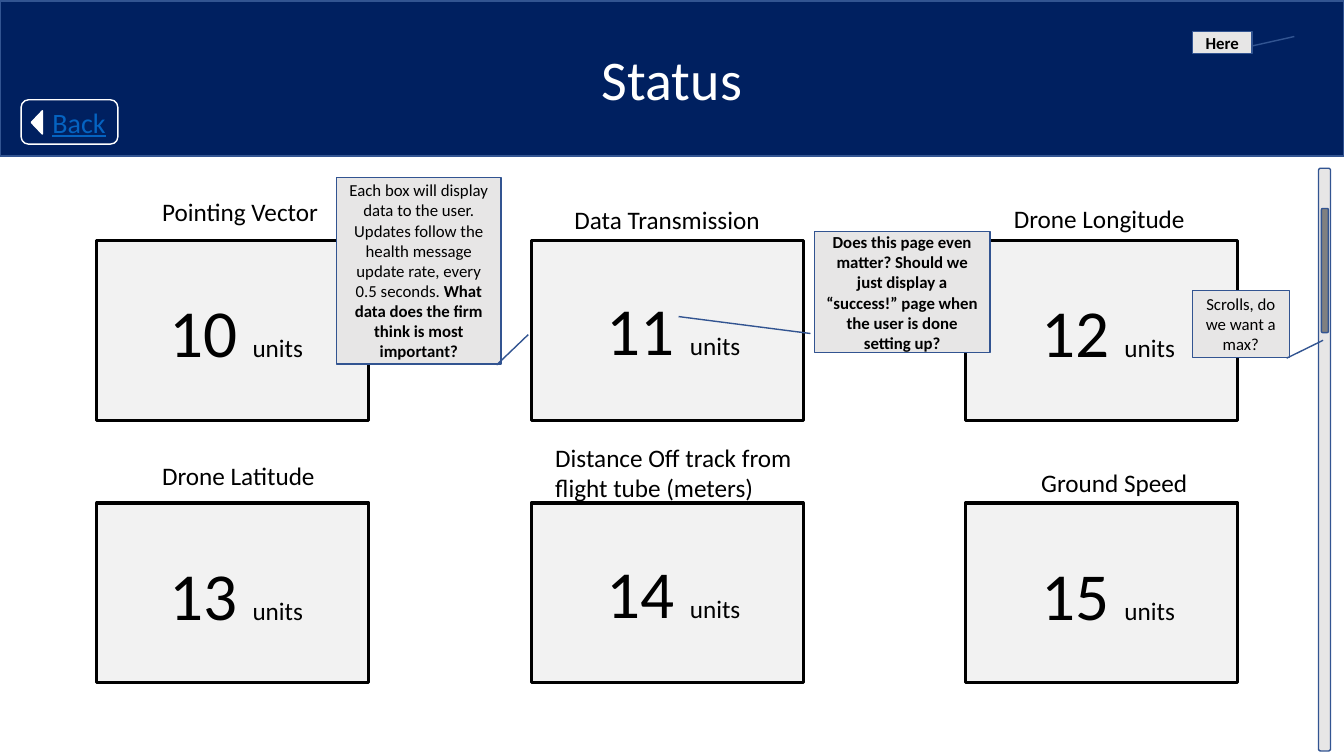
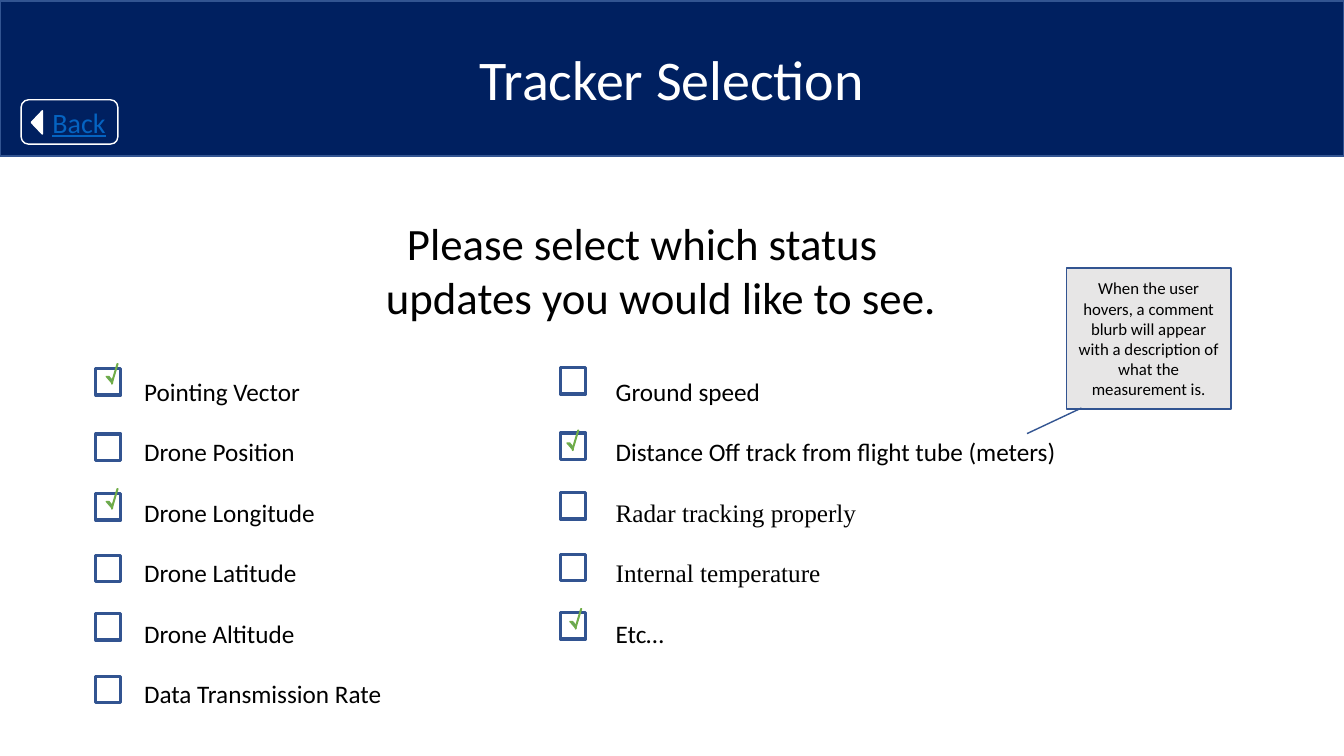
from pptx import Presentation
from pptx.dml.color import RGBColor
from pptx.enum.shapes import MSO_SHAPE
from pptx.enum.text import PP_ALIGN
from pptx.util import Pt

RECT = MSO_SHAPE.RECTANGLE
ROUND = MSO_SHAPE.ROUNDED_RECTANGLE
ARROW = MSO_SHAPE.ISOSCELES_TRIANGLE
PILL = MSO_SHAPE.FLOWCHART_ALTERNATE_PROCESS
NOTE = MSO_SHAPE.LINE_CALLOUT_1
STRIPE = MSO_SHAPE.DIAGONAL_STRIPE
LEFT, MID, RIGHT = PP_ALIGN.LEFT, PP_ALIGN.CENTER, PP_ALIGN.RIGHT

NAVY = RGBColor(0x00, 0x20, 0x60)
EDGE = RGBColor(0x32, 0x54, 0x91)
BLUE = RGBColor(0x44, 0x72, 0xC4)
LINK = RGBColor(0x05, 0x63, 0xC1)
GREEN = RGBColor(0x70, 0xAD, 0x47)
PALE = RGBColor(0xF2, 0xF2, 0xF2)
SILVER = RGBColor(0xE7, 0xE6, 0xE6)
GREY = RGBColor(0x80, 0x80, 0x80)
BLACK = RGBColor(0x00, 0x00, 0x00)
WHITE = RGBColor(0xFF, 0xFF, 0xFF)
SANS, SERIF = "Calibri", "Times New Roman"


def draw(slide, kind, box, fill=None, line=EDGE, width=1, adjust=(), turn=0):
    shape = slide.shapes.add_shape(kind, *[Pt(n) for n in box])
    shape.shadow.inherit = False
    if fill is None:
        shape.fill.background()
    else:
        shape.fill.solid()
        shape.fill.fore_color.rgb = fill
    shape.line.color.rgb = line
    shape.line.width = Pt(width)
    for i, value in enumerate(adjust):
        shape.adjustments[i] = value
    shape.rotation = turn
    return shape


def write(shape, text, size=18, color=BLACK, font=SANS, bold=False,
          under=False, align=LEFT, space=1, new=False):
    frame = shape.text_frame
    frame.word_wrap = True
    para = frame.add_paragraph() if new else frame.paragraphs[-1]
    para.alignment = align
    para.line_spacing = space
    run = para.add_run()
    run.text = text
    run.font.size = Pt(size)
    run.font.name = font
    run.font.bold = bold
    run.font.underline = under
    run.font.color.rgb = color


deck = Presentation()
deck.slide_width, deck.slide_height = Pt(960), Pt(540)

pages = []
for title in ("Status", "Tracker Selection"):
    page = deck.slides.add_slide(deck.slide_layouts[6])
    band = draw(page, RECT, (0, 0.7, 960, 110.9), NAVY)
    write(band, title, size=40, color=WHITE, align=MID)
    back = draw(page, ROUND, (15.1, 71.3, 69.1, 31.7), line=WHITE)
    write(back, "Back", size=20, color=LINK, under=True, align=RIGHT)
    draw(page, ARROW, (18, 83.5, 16.6, 7.9), WHITE, WHITE, turn=270)
    pages.append(page)
status, picks = pages

cells = [
    ("Pointing Vector", 108.7, 136.8, 128.2),
    ("Data Transmission", 403.2, 142.6, 147.6),
    ("Drone Longitude", 717.1, 141.8, 147.6),
    ("Drone Latitude", 108.7, 325.4, 128.2),
    ("Distance Off track from flight tube (meters)", 389.5, 312.5, 186.5),
    ("Ground Speed", 736.6, 330.5, 128.2),
]
spots = [(113.8, 203.8), (426.2, 202.3), (736.6, 203.8)]
for i, (name, x, y, wide) in enumerate(cells):
    row, col = divmod(i, 3)
    draw(status, RECT, (69.1 + 310.3 * col, 172.1 + 187.2 * row, 194.4, 128.2),
         PALE, BLACK, 2.25)
    label = status.shapes.add_textbox(Pt(x), Pt(y), Pt(wide), Pt(28.8))
    write(label, name)
    x, y = spots[col]
    value = status.shapes.add_textbox(Pt(x), Pt(y + 187.6 * row), Pt(117.4), Pt(65.5))
    write(value, f"{10 + i} ", size=48)
    write(value, "units")

draw(status, PILL, (941.8, 120.2, 8.6, 416.2), SILVER)
draw(status, PILL, (943.9, 149, 5, 88.6), GREY)

notes = [
    (status, (851.8, 207.4, 69.1, 48.2), (1.006, 0.973, 0.741, 1.35),
     "Scrolls, do we want a max?", ""),
    (status, (240.5, 126.7, 117.4, 133.2), (1.006, 0.973, 0.843, 1.166),
     "Each box will display data to the user. Updates follow the health "
     "message update rate, every 0.5 seconds. ",
     "What data does the firm think is most important?"),
    (status, (581.8, 165.6, 125.3, 86.4), (0.841, -0.023, 0.701, -0.775), "",
     "Does this page even matter? Should we just display a “success!” page "
     "when the user is done setting up?"),
    (status, (851.8, 22.3, 42.5, 15.8), (0.671, 0.996, 0.24, 1.712), "", "Here"),
    (picks, (761.8, 191.5, 117.4, 100.8), (0.992, 0.091, 1.173, -0.24),
     "When the user hovers, a comment blurb will appear with a description "
     "of what the measurement is.", ""),
]
for page, box, adjust, plain, strong in notes:
    note = draw(page, NOTE, box, SILVER, adjust=adjust)
    for text, bold in ((plain, False), (strong, True)):
        if text:
            write(note, text, size=12, bold=bold, align=MID)

prompt = picks.shapes.add_textbox(Pt(268.6), Pt(150.5), Pt(422.6), Pt(93.6))
write(prompt, "Please select which status updates you would like to see.", size=32)
prompt.text_frame.paragraphs[0]._p.get_or_add_pPr().set("indent", str(Pt(15)))

tops = [263.5, 310, 352.8, 396.7, 438.5, 483.1]
lists = [
    (95.8, 190, 68.4, 0, ["Pointing Vector", "Drone Position", "Drone Longitude",
                          "Drone Latitude", "Drone Altitude",
                          "Data Transmission Rate"]),
    (432.7, 340, 400.3, -0.7, ["Ground speed",
                               "Distance Off track from flight tube (meters)",
                               "Radar tracking properly", "Internal temperature",
                               "Etc…"]),
]
serifs = ("Radar tracking properly", "Internal temperature")
for x, wide, left, shift, names in lists:
    block = picks.shapes.add_textbox(Pt(x), Pt(243.4), Pt(wide), Pt(270))
    for i, name in enumerate(names):
        write(block, name, font=SERIF if name in serifs else SANS,
              space=2.0, new=i > 0)
        draw(picks, RECT, (left, tops[i] + shift, 18, 18.7), width=2.25)

for x, y in ((79.9, 259.9), (79.9, 349.2), (409, 307.4), (411.1, 434.9)):
    draw(picks, STRIPE, (x, y, 4.3, 14.4), BLUE, GREEN, adjust=[0.891])
    draw(picks, STRIPE, (x - 4.3, y + 9.4, 5, 4.3), BLUE, GREEN,
         adjust=[0.585], turn=90)

deck.save("out.pptx")
